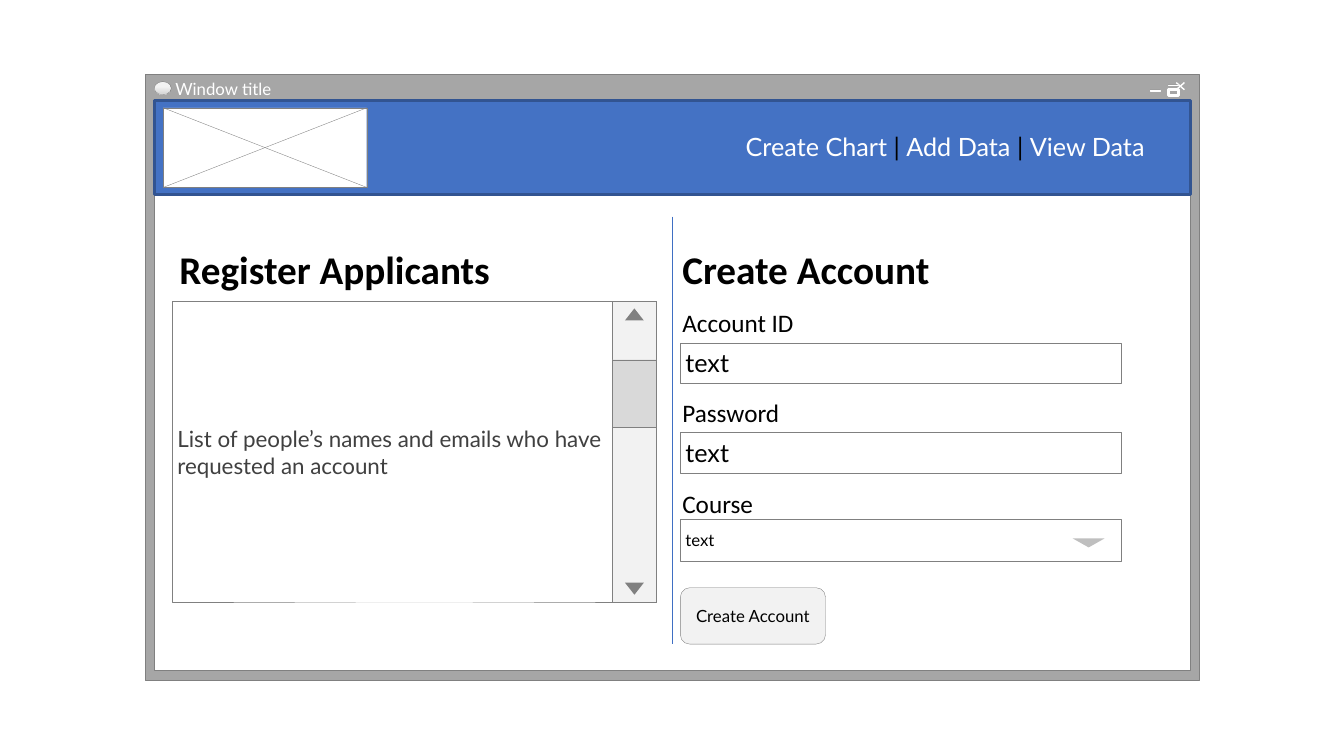
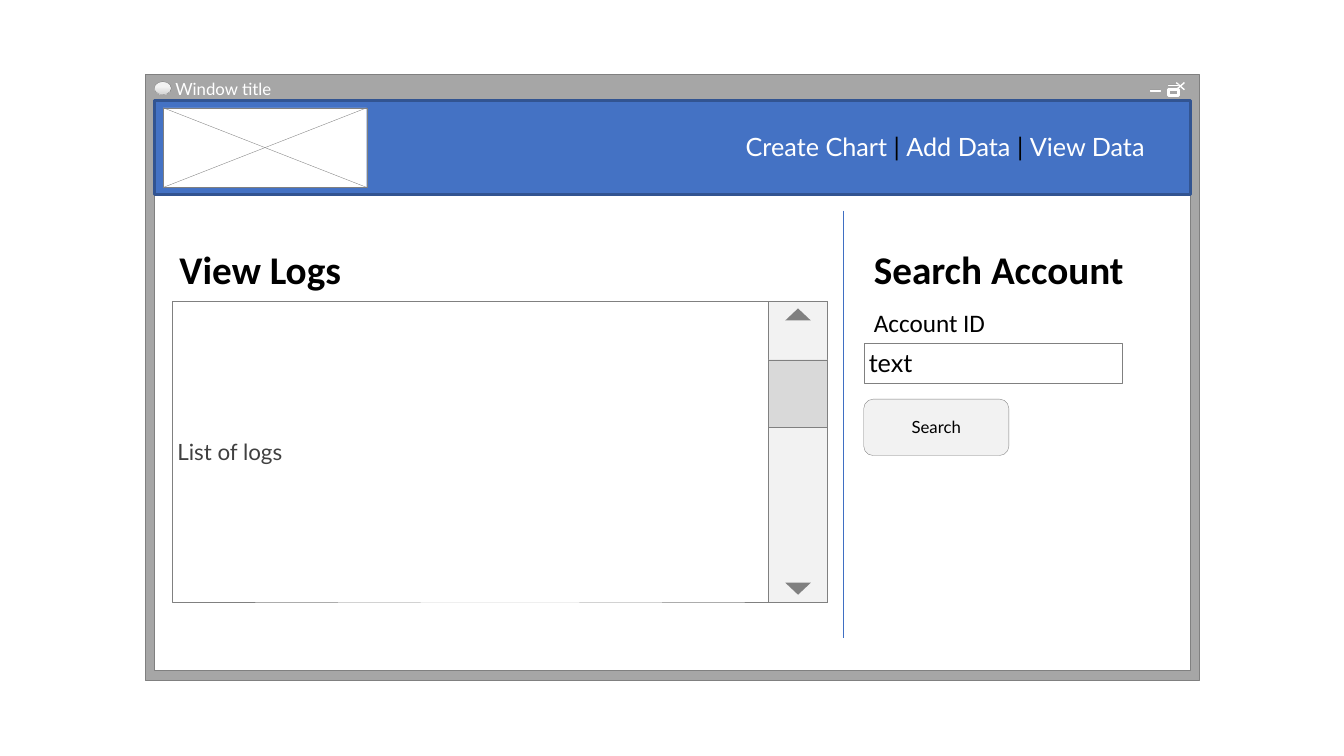
"""Build two wireframe pages of an account administration window."""
from copy import deepcopy
from dataclasses import dataclass
from typing import Optional

from lxml.etree import SubElement
from pptx import Presentation
from pptx.dml.color import RGBColor
from pptx.enum.shapes import MSO_CONNECTOR, MSO_SHAPE as Preset
from pptx.enum.text import MSO_ANCHOR as Anchor, MSO_AUTO_SIZE, PP_ALIGN as Align
from pptx.oxml.ns import qn
from pptx.shapes.autoshape import Shape
from pptx.slide import Slide
from pptx.text.text import TextFrame
from pptx.util import Pt

COLORS = {
    "white": "FFFFFF", "black": "000000", "frame": "A6A6A6", "outline": "808080",
    "icon": "919191", "band": "4472C4", "band_edge": "325491", "divider": "3F6FC3",
    "pale": "F2F2F2", "thumb": "D9D9D9", "list_text": "404040", "drop": "BFBFBF",
}
HAIRLINE = 0.26
SECTION_TOP = 154.8
LIST_LEFT, LIST_TOP, LIST_HEIGHT = 123.1, 215.3, 214.6
BUTTON_WIDTH, BUTTON_HEIGHT = 103.7, 40.3


@dataclass(frozen=True)
class Area:
    """A rectangle in points."""
    left: float
    top: float
    width: float
    height: float

    def lengths(self) -> tuple:
        """Give left, top, width and height as lengths."""
        return tuple(Pt(side) for side in (self.left, self.top, self.width, self.height))


@dataclass(frozen=True)
class Line:
    """One paragraph and its look."""
    text: str
    size: float = 18
    color: str = "black"
    font: str = "Lato"
    bold: bool = False
    align: Align = Align.LEFT
    spacing: float = 1.0
    before: float = 0


@dataclass(frozen=True)
class Field:
    """An entry field, optionally a drop-down."""
    top: float
    size: float = 18
    height: float = 28.8
    dropdown: bool = False


@dataclass(frozen=True)
class Screen:
    """What differs from one window to the next."""
    heading: str
    list_text: str
    list_width: float
    divider_left: float
    divider_top: float
    form: Area
    form_heading: str
    labels: tuple[str, ...]
    fields: tuple[Field, ...]
    field_left: float
    field_width: float
    button: str
    button_top: float


def rgb(name: str) -> RGBColor:
    """Look up a named colour."""
    return RGBColor.from_string(COLORS[name])


def write(frame: TextFrame, lines: list[Line], insets: tuple, anchor: Anchor) -> None:
    """Fill a text frame with formatted paragraphs."""
    frame.word_wrap = True
    frame.auto_size = MSO_AUTO_SIZE.NONE
    frame.vertical_anchor = anchor
    (frame.margin_left, frame.margin_top,
     frame.margin_right, frame.margin_bottom) = (Pt(inset) for inset in insets)
    frame.text = "\n".join(line.text for line in lines)
    for para, line in zip(frame.paragraphs, lines):
        para.alignment = line.align
        para.line_spacing = line.spacing
        para.space_before = Pt(line.before)
        para.font.name = line.font
        para.font.size = Pt(line.size)
        para.font.bold = line.bold
        para.font.color.rgb = rgb(line.color)


def draw_shape(page: Slide, preset: Preset, area: Area, fill: Optional[str] = None,
               line: Optional[str] = "outline", weight: float = HAIRLINE) -> Shape:
    """Add a flat preset shape."""
    box = page.shapes.add_shape(preset, *area.lengths())
    box.shadow.inherit = False
    if fill:
        box.fill.solid()
        box.fill.fore_color.rgb = rgb(fill)
    else:
        box.fill.background()
    if line:
        box.line.color.rgb = rgb(line)
        box.line.width = Pt(weight)
    else:
        box.line.fill.background()
    return box


def draw_line(page: Slide, start: tuple, end: tuple, color: str, weight: float) -> None:
    """Add a straight line without shadow."""
    points = (Pt(value) for value in (*start, *end))
    connector = page.shapes.add_connector(MSO_CONNECTOR.STRAIGHT, *points)
    connector.line.color.rgb = rgb(color)
    connector.line.width = Pt(weight)
    SubElement(connector.element.spPr, qn("a:effectLst"))


def draw_cross(page: Slide, area: Area, color: str, weight: float) -> None:
    """Draw both diagonals of an area."""
    right, bottom = area.left + area.width, area.top + area.height
    draw_line(page, (area.left, area.top), (right, bottom), color, weight)
    draw_line(page, (area.left, bottom), (right, area.top), color, weight)


def draw_orb(page: Slide) -> None:
    """Draw the shaded window button."""
    orb = draw_shape(page, Preset.OVAL, Area(110.2, 58.3, 12.2, 9.4))
    orb.fill.gradient()
    orb.fill.gradient_angle = 270
    stops = orb.element.xpath(".//a:gsLst")[0]
    stops.append(deepcopy(stops[0]))
    shades = ((0.36, "pale"), (0.91, "thumb"), (1, "pale"))
    for stop, (position, color) in zip(orb.fill.gradient_stops, shades):
        stop.position = position
        stop.color.rgb = rgb(color)


def draw_window(page: Slide) -> None:
    """Draw the window frame, its buttons and the navigation band."""
    draw_shape(page, Preset.RECTANGLE, Area(103.7, 53.3, 753.1, 432.7), "frame")
    draw_shape(page, Preset.RECTANGLE, Area(110.2, 72.7, 740.2, 406.1), "white")
    caption = page.shapes.add_textbox(*Area(121.7, 54.7, 85.7, 18).lengths())
    write(caption.text_frame, [Line("Window title", 12, "white")],
          (3.6, 1.44, 7.2, 2.16), Anchor.MIDDLE)
    draw_cross(page, Area(840.2, 59, 5.8, 5.1), "white", 0.99)
    for left, top in ((834.5, 60.5), (821.5, 64.1)):
        draw_shape(page, Preset.RECTANGLE, Area(left, top, 7.2, 0.7), "icon", "white")
    draw_shape(page, Preset.RECTANGLE, Area(834.5, 64.1, 7.2, 4.3), None, "white", 2)
    draw_orb(page)
    draw_shape(page, Preset.RECTANGLE, Area(110.2, 72, 740.2, 67), "band", "band_edge", 2)
    logo = Area(116.6, 77, 145.4, 56.9)
    draw_shape(page, Preset.RECTANGLE, logo, "white")
    draw_cross(page, logo, "outline", HAIRLINE)
    draw_navigation(page)


def draw_navigation(page: Slide) -> None:
    """Write the menu entries with dark separators."""
    menu = page.shapes.add_textbox(*Area(525.6, 92.2, 345.6, 26.6).lengths())
    write(menu.text_frame, [Line("")], (7.2, 1.44, 7.2, 3.6), Anchor.MIDDLE)
    para = menu.text_frame.paragraphs[0]
    for part in ("Create Chart ", "| ", "Add Data ", "| ", "View Data "):
        span = para.add_run()
        span.text = part
        span.font.color.rgb = rgb("black" if part == "| " else "white")


def place_text(page: Slide, index: int, area: Area, lines: list[Line]) -> None:
    """Move a placeholder to the front and fill it without bullets."""
    box = page.placeholders[index]
    box.left, box.top, box.width, box.height = area.lengths()
    page.shapes.element.append(box.element)
    write(box.text_frame, lines, (7.2, 3.6, 7.2, 3.6), Anchor.TOP)
    for paragraph in box.element.xpath(".//a:p"):
        properties = paragraph.get_or_add_pPr()
        properties.set("marL", "0")
        properties.set("indent", "0")
        bullet = SubElement(properties, qn("a:buNone"))
        properties.find(qn("a:defRPr")).addprevious(bullet)


def section_heading(text: str) -> Line:
    """Style a section heading."""
    return Line(text, 28, font="Calibri", bold=True, spacing=1.5)


def draw_list(page: Slide, text: str, width: float) -> None:
    """Draw a list box with a scroll bar."""
    box = draw_shape(page, Preset.RECTANGLE,
                     Area(LIST_LEFT, LIST_TOP, width, LIST_HEIGHT), "white")
    write(box.text_frame, [Line(text, 16, "list_text")], (3.6, 0, 7.2, 0), Anchor.MIDDLE)
    bar_width, arrow_width = width * 0.09, width * 0.039
    bar_left = LIST_LEFT + width - bar_width
    draw_shape(page, Preset.RECTANGLE,
               Area(bar_left, LIST_TOP, bar_width, LIST_HEIGHT), "pale")
    draw_shape(page, Preset.RECTANGLE, Area(bar_left, 257, bar_width, 48.2), "thumb")
    arrow_left = bar_left + (bar_width - arrow_width) / 2
    for top, turn in ((220.3, 0), (416.2, 180)):
        arrow = draw_shape(page, Preset.ISOSCELES_TRIANGLE,
                           Area(arrow_left, top, arrow_width, 8.6), "outline", None)
        arrow.rotation = turn


def draw_field(page: Slide, field: Field, left: float, width: float) -> None:
    """Draw an entry field."""
    box = draw_shape(page, Preset.RECTANGLE,
                     Area(left, field.top, width, field.height), "white")
    write(box.text_frame, [Line("text", field.size)], (3.6, 1.44, 3.6, 1.44), Anchor.MIDDLE)
    if field.dropdown:
        arrow = draw_shape(page, Preset.ISOSCELES_TRIANGLE,
                           Area(left + width - 34.5, field.top + 13.7, 23, 6.5), "drop", None)
        arrow.rotation = 180


def draw_button(page: Slide, text: str, left: float, top: float) -> None:
    """Draw a rounded button."""
    button = draw_shape(page, Preset.ROUNDED_RECTANGLE,
                        Area(left, top, BUTTON_WIDTH, BUTTON_HEIGHT), "pale")
    write(button.text_frame, [Line(text, 12, align=Align.CENTER)],
          (7.2, 0, 7.2, 0.72), Anchor.MIDDLE)


def draw_screen(page: Slide, screen: Screen) -> None:
    """Draw a whole window with its list and form."""
    draw_window(page)
    place_text(page, 0, Area(121, SECTION_TOP, 359.3, 90), [section_heading(screen.heading)])
    labels = [Line(label, font="Calibri", spacing=1.5, before=32 if position else 0)
              for position, label in enumerate(screen.labels)]
    place_text(page, 1, screen.form, [section_heading(screen.form_heading), *labels])
    draw_line(page, (screen.divider_left, screen.divider_top),
              (screen.divider_left, screen.divider_top + 305.3), "divider", 0.75)
    draw_list(page, screen.list_text, screen.list_width)
    draw_button(page, screen.button, screen.field_left, screen.button_top)
    for field in screen.fields:
        draw_field(page, field, screen.field_left, screen.field_width)


SCREENS = (
    Screen(
        heading="Register Applicants",
        list_text="List of people’s names and emails who have requested an account",
        list_width=345.6, divider_left=480.2, divider_top=SECTION_TOP,
        form=Area(480.2, SECTION_TOP, 359.3, 219.6), form_heading="Create Account",
        labels=("Account ID", "Password", "Course"),
        fields=(Field(308.9), Field(244.8), Field(370.8, 12, 30.2, True)),
        field_left=486, field_width=314.6, button="Create Account", button_top=419.8),
    Screen(
        heading="View Logs", list_text="List of logs",
        list_width=468, divider_left=602.6, divider_top=150.5,
        form=Area(617, SECTION_TOP, 222.5, 140.4), form_heading="Search Account",
        labels=("Account ID",), fields=(Field(244.8),),
        field_left=617, field_width=184.3, button="Search", button_top=285.1),
)


def main() -> None:
    """Build and save the deck."""
    deck = Presentation()
    deck.slide_width, deck.slide_height = Pt(960), Pt(540)
    for screen in SCREENS:
        draw_screen(deck.slides.add_slide(deck.slide_layouts[1]), screen)
    deck.save("out.pptx")


main()
